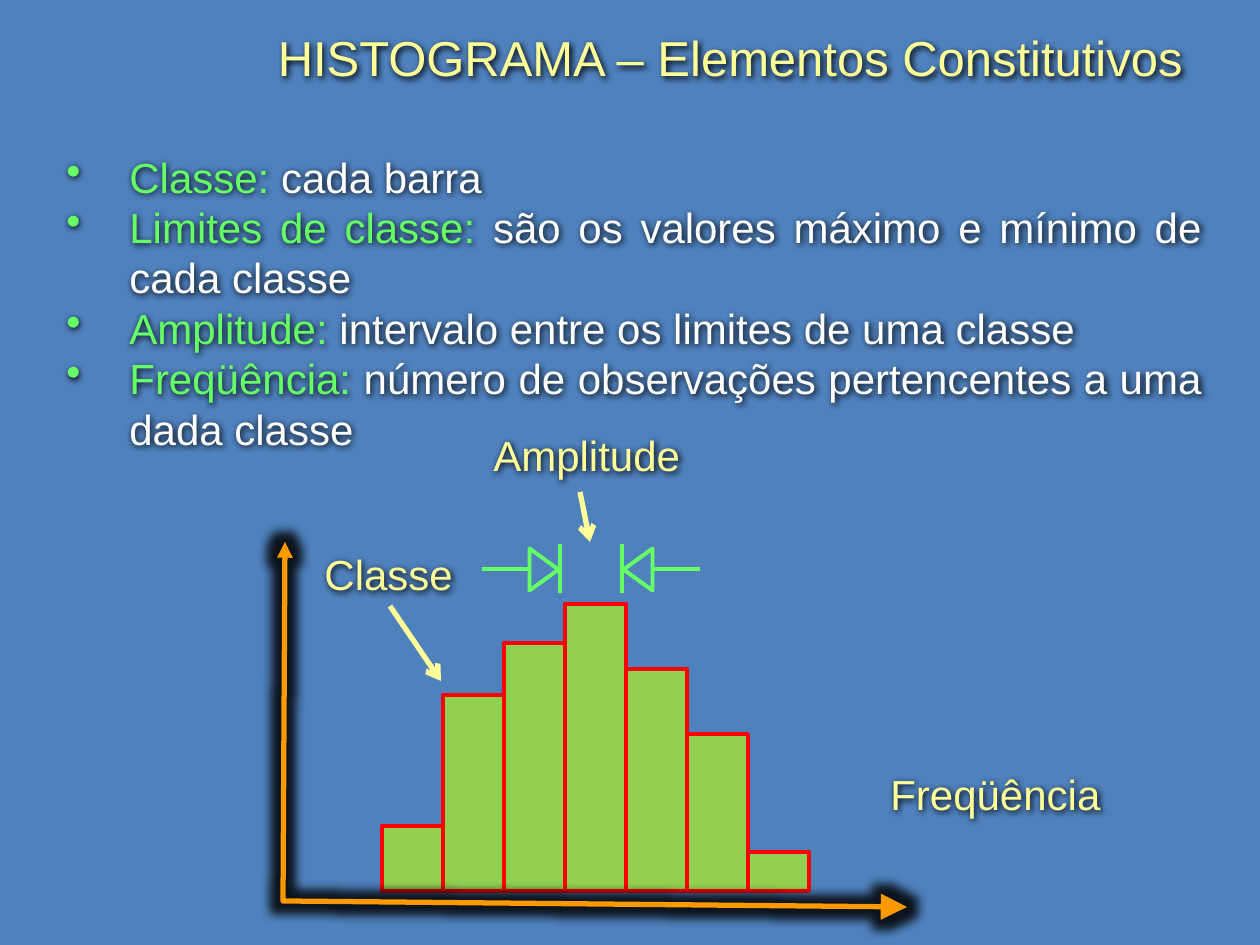
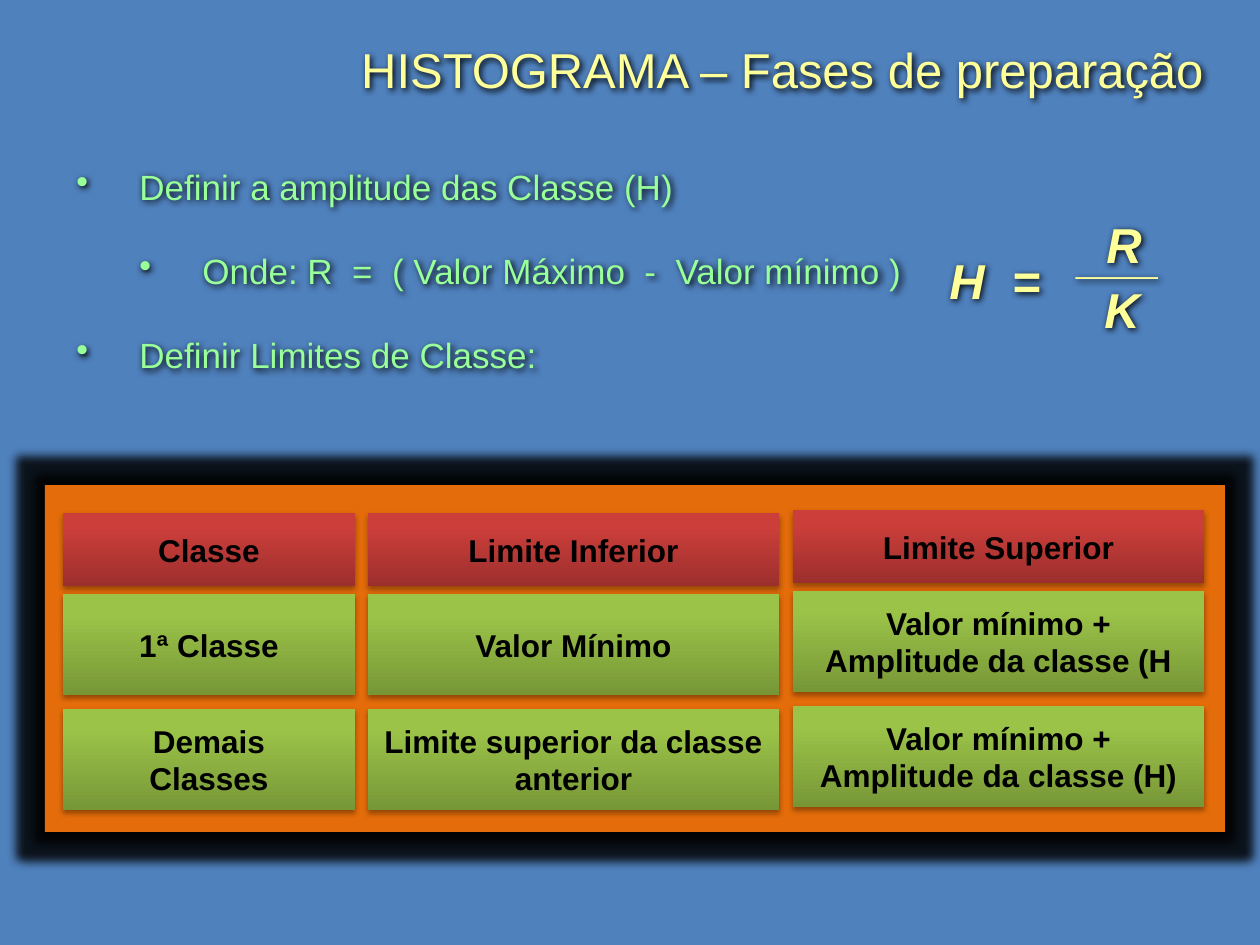
from lxml import etree
from pptx import Presentation
from pptx import util as u
from pptx.dml.color import RGBColor
from pptx.enum import shapes, text
from pptx.oxml import ns

SCALE = u.Inches(1) / 126
FONT = "Arial"
BLUE, YELLOW, WHITE, BLACK = "4F81BD", "FFFF99", "FFFFFF", "000000"
GREEN, PALE_GREEN, BAR_GREEN = "66FF66", "99FF99", "92D050"
RED, AXIS_ORANGE, PANEL_ORANGE = "FF0000", "FF9900", "E46C0A"
HEADER_SHADES = ("9C2F2D", "CB3E3A")
CELL_SHADES = ("779737", "9BC348")
HALO = ("outerShdw", 100, {"blurRad": 50800, "dist": 12700, "dir": 2700000})
GLOW = ("glow", 85, {"rad": 139700})
SOFT_SHADOW = ("outerShdw", 35, {"blurRad": 39370, "dist": 22860, "dir": 5400000})


def px(value):
    return u.Emu(round(value * SCALE))


def rgb(value):
    return RGBColor.from_string(value)


def add_xml(parent, tag, **attributes):
    values = {name: str(value) for name, value in attributes.items()}
    return etree.SubElement(parent, ns.qn(f"a:{tag}"), values)


def set_effect(shape, effect=None):
    shape.shadow.inherit = False
    if effect:
        tag, opacity, attributes = effect
        effects = shape.element.spPr.find(ns.qn("a:effectLst"))
        color = add_xml(add_xml(effects, tag, **attributes), "srgbClr", val=BLACK)
        add_xml(color, "alpha", val=opacity * 1000)


def set_line(shape, color, width):
    shape.line.color.rgb = rgb(color)
    shape.line.width = u.Pt(width)


def add_span(para, words, size, color, bold=False, italic=False):
    span = para.add_run()
    span.text = words
    span.font.name = FONT
    span.font.size = u.Pt(size)
    span.font.bold = bold
    span.font.italic = italic
    span.font.color.rgb = rgb(color)


def add_page(deck, title, left, top):
    page = deck.slides.add_slide(deck.slide_layouts[5])
    box = page.shapes.title
    box.left, box.top, box.width, box.height = map(px, (left, top, 980, 72))
    frame = box.text_frame
    frame.word_wrap = True
    frame.auto_size = text.MSO_AUTO_SIZE.NONE
    frame.vertical_anchor = text.MSO_ANCHOR.TOP
    para = frame.paragraphs[0]
    para.alignment = text.PP_ALIGN.RIGHT
    add_span(para, title, 28, YELLOW)
    set_effect(box, HALO)
    return page


def add_box(page, left, top, width, height):
    box = page.shapes.add_textbox(*map(px, (left, top, width, height)))
    box.text_frame.word_wrap = True
    set_effect(box, HALO)
    return box.text_frame


def add_label(page, words, left, top, width, size=24, strong=False):
    frame = add_box(page, left, top, width, 63 if size == 24 else 72)
    add_span(frame.paragraphs[0], words, size, YELLOW, strong, strong)


def add_bullets(page, area, items, size, gap=0, align=text.PP_ALIGN.LEFT):
    frame = add_box(page, *area)
    for index, (level, spans) in enumerate(items):
        para = frame.add_paragraph() if index else frame.paragraphs[0]
        para.level = level
        para.alignment = align
        if index and gap:
            para.space_before = u.Pt(gap)
        settings = para._p.get_or_add_pPr()
        settings.set("marL", str(px(63 * (level + 1))))
        settings.set("indent", str(px(-63)))
        add_xml(settings, "buChar", char="•")
        for words, color in spans:
            add_span(para, words, size, color)


def add_shape(page, kind, left, top, width, height, fill=None, effect=None):
    shape = page.shapes.add_shape(kind, *map(px, (left, top, width, height)))
    if fill:
        shape.fill.solid()
        shape.fill.fore_color.rgb = rgb(fill)
    else:
        shape.fill.background()
    shape.line.fill.background()
    set_effect(shape, effect)
    return shape


def add_line(page, start, end, color, width, arrow=False):
    line = page.shapes.add_connector(
        shapes.MSO_CONNECTOR.STRAIGHT, *map(px, (*start, *end)))
    set_line(line, color, width)
    if arrow:
        add_xml(line.line._get_or_add_ln(), "tailEnd", type="arrow")
    add_xml(line.element.spPr, "effectLst")


def add_bars(page, left, bottom, width, heights):
    for index, height in enumerate(heights):
        bar = add_shape(page, shapes.MSO_SHAPE.RECTANGLE, left + index * width,
                        bottom - height, width, height, BAR_GREEN)
        set_line(bar, RED, 2.25)


def add_axes(page, top, origin, end):
    builder = page.shapes.build_freeform(*top, scale=SCALE)
    builder.add_line_segments([origin, end], close=False)
    axes = builder.convert_to_shape()
    axes.fill.background()
    set_line(axes, AXIS_ORANGE, 3)
    line = axes.line._get_or_add_ln()
    add_xml(line, "headEnd", type="triangle")
    add_xml(line, "tailEnd", type="triangle", w="lg", len="lg")
    set_effect(axes, GLOW)


def add_limit_mark(page, outer, base, limit, triangle_left, rotation):
    add_line(page, (outer, 569), (base, 569), GREEN, 2.25)
    triangle = add_shape(page, shapes.MSO_SHAPE.ISOSCELES_TRIANGLE,
                         triangle_left, 555, 42, 29)
    triangle.rotation = rotation
    set_line(triangle, GREEN, 2.25)
    add_line(page, (limit, 544), (limit, 593), GREEN, 2.25)


def add_cell(page, lines, left, top, width, height, shades):
    cell = add_shape(page, shapes.MSO_SHAPE.RECTANGLE, left, top, width, height,
                     effect=SOFT_SHADOW)
    cell.fill.gradient()
    cell.fill.gradient_angle = 90
    for stop, shade, position in zip(cell.fill.gradient_stops, shades, (0, 0.8)):
        stop.color.rgb = rgb(shade)
        stop.position = position
    frame = cell.text_frame
    frame.word_wrap = True
    frame.vertical_anchor = text.MSO_ANCHOR.MIDDLE
    for index, words in enumerate(lines):
        para = frame.add_paragraph() if index else frame.paragraphs[0]
        para.alignment = text.PP_ALIGN.CENTER
        add_span(para, words, 18, BLACK, bold=True)


def add_limits_grid(page):
    add_shape(page, shapes.MSO_SHAPE.RECTANGLE, 45, 485, 1180, 347,
              PANEL_ORANGE, GLOW)
    columns = [(63, 292, 0), (368, 411, 0), (793, 411, -3)]
    rows = [
        (513, 73, HEADER_SHADES,
         [["Classe"], ["Limite Inferior"], ["Limite Superior"]]),
        (594, 101, CELL_SHADES,
         [["1ª Classe"], ["Valor Mínimo"],
          ["Valor mínimo + Amplitude da classe (H"]]),
        (709, 101, CELL_SHADES,
         [["Demais", "Classes"], ["Limite superior da classe anterior"],
          ["Valor mínimo + Amplitude da classe (H)"]]),
    ]
    for top, height, shades, cells in rows:
        for (left, width, shift), lines in zip(columns, cells):
            add_cell(page, lines, left, top + shift, width, height, shades)


def build_elements(deck):
    page = add_page(deck, "HISTOGRAMA – Elementos Constitutivos", 215, 21)
    definitions = [
        ("Classe: ", "cada barra"),
        ("Limites de classe: ", "são os valores máximo e mínimo de cada classe"),
        ("Amplitude: ", "intervalo entre os limites de uma classe"),
        ("Freqüência: ", "número de observações pertencentes a uma dada classe"),
    ]
    items = [(0, [(term, GREEN), (meaning, WHITE)]) for term, meaning in definitions]
    add_bullets(page, (54, 145, 1160, 318), items, 24, align=text.PP_ALIGN.JUSTIFY)
    add_bars(page, 382, 891, 61, [65, 196, 248, 287, 222, 157, 39])
    add_axes(page, (285, 542), (283, 901), (907, 907))
    add_label(page, "Amplitude", 481, 423, 214)
    add_label(page, "Classe", 312, 542, 155)
    add_label(page, "Freqüência", 878, 762, 238)
    add_line(page, (390, 606), (441, 681), YELLOW, 3, arrow=True)
    add_line(page, (580, 492), (590, 542), YELLOW, 3, arrow=True)
    add_limit_mark(page, 482, 529, 560, 523, 90)
    add_limit_mark(page, 700, 653, 622, 617, 270)


def build_phases(deck):
    page = add_page(deck, "HISTOGRAMA – Fases de preparação", 236, 33)
    steps = [
        (0, "Definir a amplitude das Classe (H)"),
        (1, "Onde: R  =  ( Valor Máximo  -  Valor mínimo )"),
        (0, "Definir Limites de Classe:"),
    ]
    items = [(level, [(words, PALE_GREEN)]) for level, words in steps]
    add_bullets(page, (64, 159, 870, 224), items, 20, gap=24)
    formula = [("H  =", 937, 244, 131), ("R", 1094, 208, 74),
               ("K", 1092, 273, 62), ("___", 1066, 218, 112)]
    for words, left, top, width in formula:
        add_label(page, words, left, top, width, 28, strong=True)
    add_limits_grid(page)


def main():
    deck = Presentation()
    deck.slide_width, deck.slide_height = px(1260), px(945)
    background = deck.slide_master.background.fill
    background.solid()
    background.fore_color.rgb = rgb(BLUE)
    build_elements(deck)
    build_phases(deck)
    deck.save("out.pptx")


if __name__ == "__main__":
    main()
